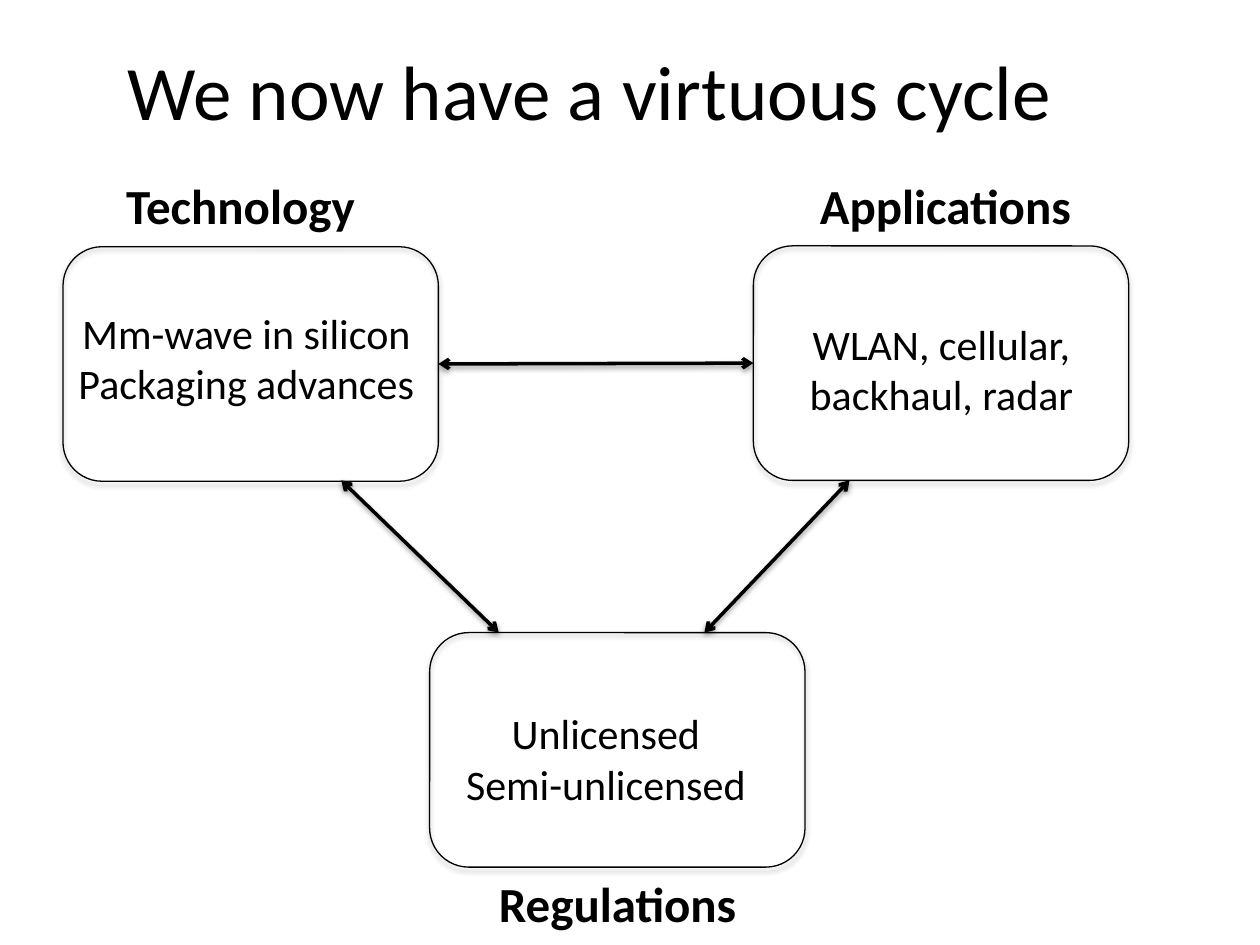
from lxml.etree import SubElement
from pptx import Presentation
from pptx.dml.color import RGBColor
from pptx.enum.shapes import MSO_CONNECTOR as CONN, MSO_SHAPE as SHAPE
from pptx.enum.text import MSO_ANCHOR as ANCHOR, MSO_AUTO_SIZE as AUTO, PP_ALIGN as ALIGN
from pptx.oxml.ns import qn
from pptx.util import Pt

BLACK = RGBColor(0, 0, 0)
BOX_W, BOX_H = 214.5, 134


class Deck:
    """Holds the text style and the current slide, and draws its elements."""

    font = "Calibri"

    def __init__(self, prs):
        self.s = prs.slides.add_slide(prs.slide_layouts[5])

    def fill_text(self, tf, text, size, align, bold=False):
        tf.text = text
        for p in tf.paragraphs:
            p.alignment = align
            for r in p.runs:
                r.font.name, r.font.size, r.font.bold = self.font, Pt(size), bold
                r.font.color.rgb = BLACK

    def title(self, x, y, w, h, text):
        sp = self.s.shapes.title
        sp.left, sp.top, sp.width, sp.height = Pt(x), Pt(y), Pt(w), Pt(h)
        sp.text_frame.vertical_anchor = ANCHOR.MIDDLE
        self.fill_text(sp.text_frame, text, 44, ALIGN.CENTER)

    def text(self, x, y, w, h, text, size=24, align=ALIGN.CENTER, bold=False):
        sp = self.s.shapes.add_textbox(Pt(x), Pt(y), Pt(w), Pt(h))
        tf = sp.text_frame
        tf.word_wrap, tf.auto_size = False, AUTO.SHAPE_TO_FIT_TEXT
        self.fill_text(tf, text, size, align, bold)

    def caption(self, x, y, w, text):
        self.text(x, y, w, 41, text, 28, ALIGN.LEFT, True)

    def shadow(self, effects, dist, alpha):
        outer = SubElement(effects, qn("a:outerShdw"), blurRad=str(Pt(3.1)),
                           dist=str(Pt(dist)), dir="5400000", rotWithShape="0")
        color = SubElement(outer, qn("a:srgbClr"), val=str(BLACK))
        SubElement(color, qn("a:alpha"), val=str(alpha * 1000))

    def box(self, x, y):
        sp = self.s.shapes.add_shape(SHAPE.ROUNDED_RECTANGLE, Pt(x), Pt(y), Pt(BOX_W), Pt(BOX_H))
        sp.fill.background()
        sp.line.color.rgb, sp.line.width = BLACK, Pt(0.75)
        sp.shadow.inherit = False
        self.shadow(sp._element.spPr.find(qn("a:effectLst")), 1.8, 35)
        return sp

    def arrow(self, x1, y1, x2, y2):
        c = self.s.shapes.add_connector(CONN.STRAIGHT, Pt(x1), Pt(y1), Pt(x2), Pt(y2))
        c.line.color.rgb, c.line.width = BLACK, Pt(2)
        spPr = c._element.spPr
        for end in ("a:headEnd", "a:tailEnd"):
            SubElement(spPr.find(qn("a:ln")), qn(end), type="arrow")
        self.shadow(SubElement(spPr, qn("a:effectLst")), 1.6, 38)
        return c


def main():
    prs = Presentation()
    prs.slide_width, prs.slide_height = Pt(720), Pt(540)
    deck = Deck(prs)
    deck.title(13, 6.5, 648, 90, "We now have a virtuous cycle")

    technology = deck.box(36, 141)
    deck.box(245.5, 361.5)
    applications = deck.box(430.5, 140.5)
    deck.text(36, 172, 209.5, 65.5, "Mm-wave in silicon\nPackaging advances")
    deck.text(258.5, 401, 175.5, 65.5, "Unlicensed\nSemi-unlicensed")
    deck.text(454.5, 178.5, 167, 65.5, "WLAN, cellular,\nbackhaul, radar")

    link = deck.arrow(250.5, 208, 430.5, 207.5)
    link.begin_connect(technology, 3)
    link.end_connect(applications, 1)
    deck.arrow(402.5, 361.5, 485.5, 274.5)
    deck.arrow(195, 274.5, 285, 361.5)

    deck.caption(65, 96.5, 149, "Technology")
    deck.caption(461.5, 97, 160, "Applications")
    deck.caption(278, 495.5, 152.5, "Regulations")
    prs.save("out.pptx")


if __name__ == "__main__":
    main()
